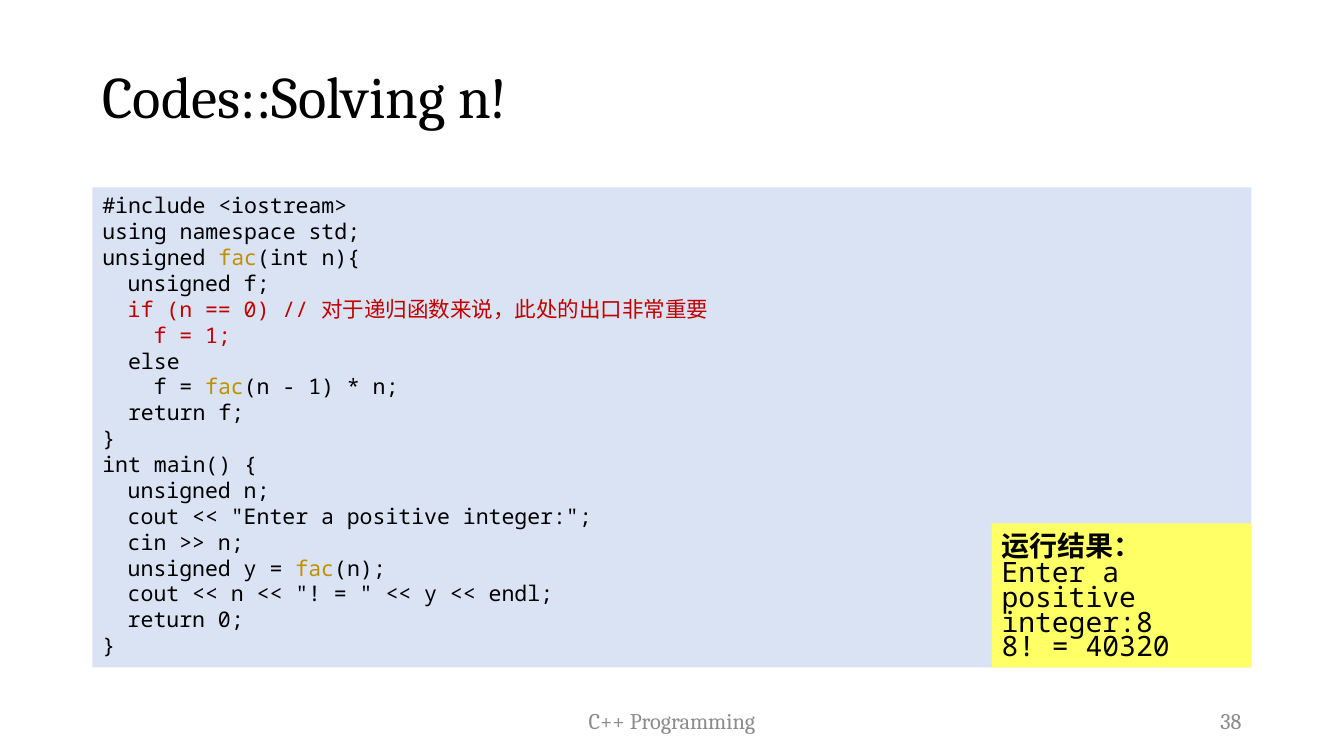
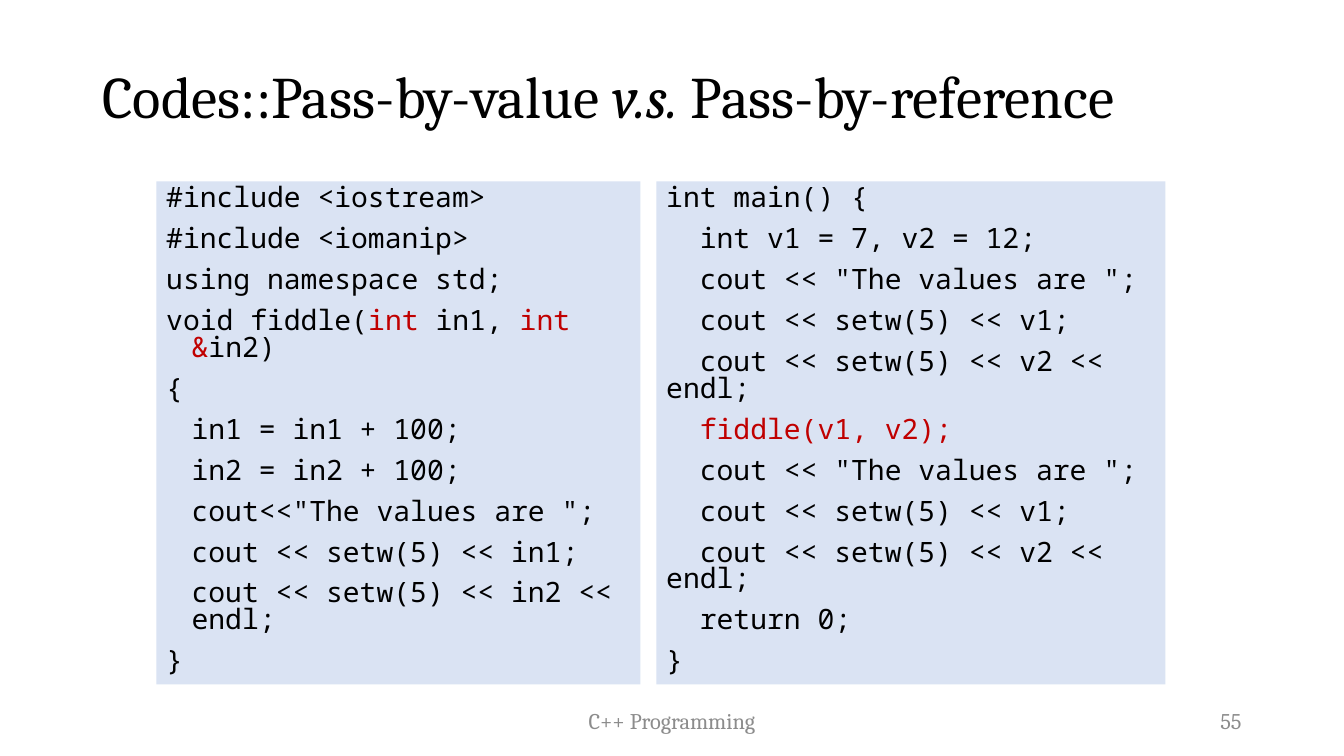
from pptx import Presentation
from pptx.dml.color import RGBColor
from pptx.enum.text import MSO_ANCHOR, MSO_AUTO_SIZE, PP_ALIGN
from pptx.util import Cm, Pt

BLACK = RGBColor(0, 0, 0)
GRAY = RGBColor(0x8C, 0x8C, 0x8C)
RED = RGBColor(0xC0, 0, 0)
GOLD = RGBColor(0xBF, 0x90, 0)
PALE_BLUE = RGBColor(0xDA, 0xE3, 0xF3)
YELLOW = RGBColor(0xFF, 0xFF, 0x66)
SERIF = "Cambria"
MONO = "Noto Sans Mono"

SLIDE_WIDTH, SLIDE_HEIGHT = 33.87, 19.05
MARGIN, CONTENT_WIDTH = 2.33, 29.21
FOOTER_TOP, FOOTER_HEIGHT = 17.66, 1.01
FOOTER_WIDTH, NUMBER_WIDTH = 11.43, 7.62
HANGING = 0.64

FACTORIAL_TITLE = ["Codes::Solving n!"]
FACTORIAL_CODE = [
    "#include <iostream>",
    "using namespace std;",
    ["unsigned ", ("fac", GOLD), "(int n){"],
    "\tunsigned f;",
    [("\tif (n == 0) // 对于递归函数来说，此处的出口非常重要", RED)],
    [("\t  f = 1;", RED)],
    "  else",
    ["\t  f = ", ("fac", GOLD), "(n - 1) * n;"],
    "  return f;",
    "}",
    "int main() {",
    "\tunsigned n;",
    '\tcout << "Enter a positive integer:";',
    "\tcin >> n;",
    ["\tunsigned y = ", ("fac", GOLD), "(n);"],
    '\tcout << n << "! = " << y << endl;',
    "\treturn 0;",
    "}",
]
OUTPUT_HEADING = "运行结果："
OUTPUT_LINES = ["Enter a positive integer:8", "8! = 40320"]

PASSING_TITLE = ["Codes::Pass-by-value ", "v.s.", " Pass-by-reference"]
FIDDLE_CODE = [
    "#include <iostream>",
    "#include <iomanip>",
    "using namespace std;",
    ["void fiddle(", ("int", RED), " in1, ", ("int &", RED), "in2)"],
    "{",
    "\tin1 = in1 + 100;",
    "\tin2 = in2 + 100;",
    '\tcout<<"The values are ";',
    "\tcout << setw(5) << in1;",
    "\tcout << setw(5) << in2 << endl;",
    "}",
]
PRINT_VALUES = [
    '  cout << "The values are ";',
    "  cout << setw(5) << v1;",
    "  cout << setw(5) << v2 << endl;",
]
MAIN_CODE = [
    "int main() {",
    "  int v1 = 7, v2 = 12;",
    *PRINT_VALUES,
    [("  fiddle(v1, v2);", RED)],
    *PRINT_VALUES,
    "  return 0;",
    "}",
]


def write_run(paragraph, text, *, font=MONO, size=20, color=BLACK, bold=False, italic=False):
    run = paragraph.add_run()
    run.text = text
    run.font.name = font
    run.font.size = Pt(size)
    run.font.bold = bold
    run.font.italic = italic
    run.font.color.rgb = color


def add_text(slide, lines, left, top, width, height, *, fill=None, hanging=0, spacing=(1,),
             before=0, align=PP_ALIGN.LEFT, anchor=MSO_ANCHOR.TOP, bold_first=False,
             color=BLACK, **run_format):
    shape = slide.shapes.add_textbox(Cm(left), Cm(top), Cm(width), Cm(height))
    if fill is not None:
        shape.fill.solid()
        shape.fill.fore_color.rgb = fill
    frame = shape.text_frame
    frame.word_wrap = True
    frame.auto_size = MSO_AUTO_SIZE.NONE
    frame.vertical_anchor = anchor
    for index, line in enumerate(lines):
        paragraph = frame.add_paragraph() if index else frame.paragraphs[0]
        paragraph.alignment = align
        paragraph.line_spacing = spacing[min(index, len(spacing) - 1)]
        paragraph.space_before = Pt(before if index else 0)
        if hanging:
            properties = paragraph._p.get_or_add_pPr()
            properties.set("marL", str(Cm(hanging)))
            properties.set("indent", str(-Cm(hanging)))
        for part in [line] if isinstance(line, str) else line:
            text, run_color = (part, color) if isinstance(part, str) else part
            write_run(paragraph, text, color=run_color,
                      bold=bold_first and index == 0, **run_format)


def add_base_slide(presentation, title_parts, number):
    slide = presentation.slides.add_slide(presentation.slide_layouts[5])
    title = slide.shapes.title
    title.left, title.top = Cm(MARGIN), Cm(0.66)
    title.width, title.height = Cm(CONTENT_WIDTH), Cm(3.68)
    frame = title.text_frame
    frame.word_wrap = True
    frame.auto_size = MSO_AUTO_SIZE.NONE
    frame.vertical_anchor = MSO_ANCHOR.MIDDLE
    paragraph = frame.paragraphs[0]
    paragraph.alignment = PP_ALIGN.LEFT
    paragraph.line_spacing = 0.9
    for text in title_parts:
        write_run(paragraph, text, font=SERIF, size=42, italic=text == "v.s.")
    footers = [
        ("C++ Programming", (SLIDE_WIDTH - FOOTER_WIDTH) / 2, FOOTER_WIDTH, PP_ALIGN.CENTER),
        (str(number), MARGIN + CONTENT_WIDTH - NUMBER_WIDTH, NUMBER_WIDTH, PP_ALIGN.RIGHT),
    ]
    for text, left, width, align in footers:
        add_text(slide, [text], left, FOOTER_TOP, width, FOOTER_HEIGHT, align=align,
                 anchor=MSO_ANCHOR.MIDDLE, font=SERIF, size=16, color=GRAY)
    return slide


def add_factorial_slide(presentation):
    slide = add_base_slide(presentation, FACTORIAL_TITLE, 38)
    top, height = 4.72, 12.1
    output_width, output_height = 6.55, 3.63
    add_text(slide, FACTORIAL_CODE, MARGIN, top, CONTENT_WIDTH, height,
             fill=PALE_BLUE, hanging=HANGING, size=15.4)
    add_text(slide, [OUTPUT_HEADING, *OUTPUT_LINES], MARGIN + CONTENT_WIDTH - output_width,
             top + height - output_height, output_width, output_height,
             fill=YELLOW, spacing=(1, 0.75, 0.7), bold_first=True)


def add_passing_slide(presentation):
    slide = add_base_slide(presentation, PASSING_TITLE, 55)
    left, gap = 3.94, 0.4
    for lines, width, hanging in [(FIDDLE_CODE, 12.2, HANGING), (MAIN_CODE, 12.83, 0)]:
        add_text(slide, lines, left, 4.57, width, 12.68, fill=PALE_BLUE,
                 hanging=hanging, spacing=(0.8,), before=10)
        left += width + gap


def main():
    presentation = Presentation()
    presentation.slide_width = Cm(SLIDE_WIDTH)
    presentation.slide_height = Cm(SLIDE_HEIGHT)
    add_factorial_slide(presentation)
    add_passing_slide(presentation)
    presentation.save("out.pptx")


if __name__ == "__main__":
    main()
